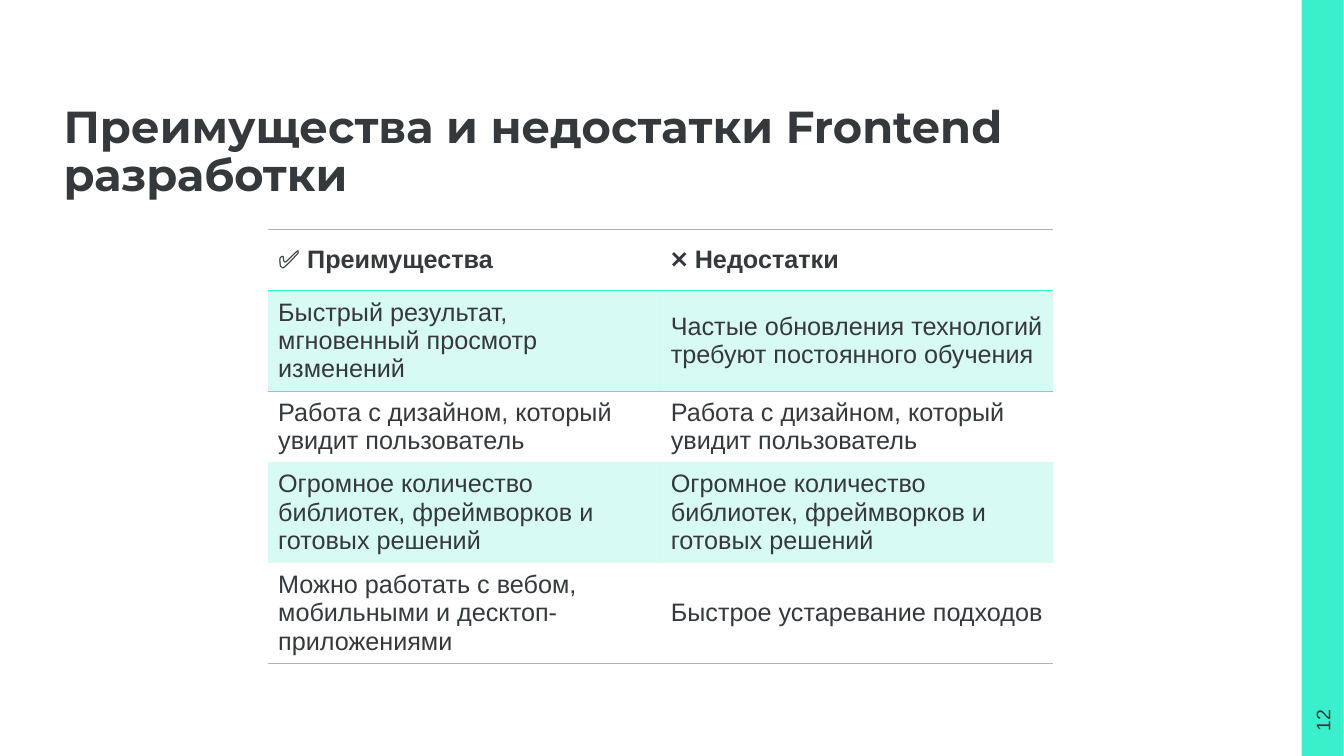
from dataclasses import dataclass

from lxml import etree
from pptx import Presentation
from pptx import util as u
from pptx.dml.color import RGBColor
from pptx.enum import shapes, text
from pptx.oxml import ns

MINT, DARK, GRAY = "3AEFCC", "36393B", "B2B2B2"
PLAIN = "{2D5ABB26-0587-4C30-8999-92F81FD0307C}"


@dataclass
class Row:
    high: float
    pro: str
    con: str
    top: str = ""
    base: str = ""
    band: bool = False
    bold: bool = False


ROWS = [
    Row(43.5, "✅ Преимущества", "❌ Недостатки", top=GRAY, base=MINT, bold=True),
    Row(68, "Быстрый результат, мгновенный просмотр изменений",
        "Частые обновления технологий требуют постоянного обучения",
        top=MINT, band=True),
    Row(48, "Работа с дизайном, который увидит пользователь",
        "Работа с дизайном, который увидит пользователь"),
    Row(68, "Огромное количество библиотек, фреймворков и готовых решений",
        "Огромное количество библиотек, фреймворков и готовых решений", band=True),
    Row(68, "Можно работать с вебом, мобильными и десктоп-приложениями",
        "Быстрое устаревание подходов", base=GRAY),
]


def paint(item, color: str) -> None:
    """Give a fill or a font a solid colour."""
    if hasattr(item, "solid"):
        item.solid()
        item.fore_color.rgb = RGBColor.from_string(color)
    else:
        item.color.rgb = RGBColor.from_string(color)


def style(para, size: float, face: str = "Arial", bold: bool = False) -> None:
    for run in para.runs:
        run.font.size = u.Pt(size)
        run.font.name = face
        run.font.bold = bold
        paint(run.font, DARK)


def edge(cell, side: str, color: str) -> None:
    """Draw one side of a cell."""
    line = etree.SubElement(cell._tc.get_or_add_tcPr(), ns.qn(f"a:{side}"),
                            w=str(u.Pt(0.75)))
    fill = etree.SubElement(line, ns.qn("a:solidFill"))
    etree.SubElement(fill, ns.qn("a:srgbClr"), val=color)


def draw_cell(cell, words: str, row: Row) -> None:
    cell.text_frame.text = words
    cell.vertical_anchor = text.MSO_ANCHOR.MIDDLE
    style(cell.text_frame.paragraphs[0], 18, bold=row.bold)
    for side, color in (("lnT", row.top), ("lnB", row.base)):
        if color:
            edge(cell, side, color)
    if row.band:
        paint(cell.fill, MINT)
        tint = cell._tc.tcPr.find(ns.qn("a:solidFill"))[0]
        etree.SubElement(tint, ns.qn("a:alpha"), val="20000")
    else:
        cell.fill.background()


def draw_bar(slide) -> None:
    bar = slide.shapes.add_shape(shapes.MSO_SHAPE.RECTANGLE,
                                 u.Pt(674.75), u.Pt(255), u.Pt(540), u.Pt(30))
    bar.rotation = 270
    bar.shadow.inherit = False
    paint(bar.fill, MINT)
    bar.line.fill.background()


def draw_page(slide) -> None:
    page = slide.shapes.add_textbox(u.Pt(919.5), u.Pt(499.75), u.Pt(50.5), u.Pt(30))
    page.rotation = 270
    frame = page.text_frame
    frame.word_wrap = True
    frame.vertical_anchor = text.MSO_ANCHOR.MIDDLE
    frame.text = "12"
    frame.paragraphs[0].alignment = text.PP_ALIGN.CENTER
    style(frame.paragraphs[0], 14)


def draw_title(slide) -> None:
    title = slide.shapes.title
    title.left, title.top = u.Pt(38.25), u.Pt(50.5)
    title.width, title.height = u.Pt(867), u.Pt(93.5)
    frame = title.text_frame
    frame.word_wrap = True
    frame.auto_size = text.MSO_AUTO_SIZE.NONE
    frame.vertical_anchor = text.MSO_ANCHOR.BOTTOM
    frame.margin_left = frame.margin_top = u.Pt(7.2)
    frame.margin_right = frame.margin_bottom = u.Pt(0)
    frame.text = "Преимущества и недостатки Frontend разработки"
    para = frame.paragraphs[0]
    para.alignment = text.PP_ALIGN.LEFT
    para.line_spacing = 0.9
    style(para, 32, "Montserrat", True)


def draw_table(slide) -> None:
    high = sum(row.high for row in ROWS)
    table = slide.shapes.add_table(len(ROWS), 2, u.Pt(191.5), u.Pt(164),
                                   u.Pt(561), u.Pt(high)).table
    table.first_row = table.horz_banding = False
    table._tbl.tblPr.find(ns.qn("a:tableStyleId")).text = PLAIN
    for line, row in zip(table.rows, ROWS):
        line.height = u.Pt(row.high)
        for cell, words in zip(line.cells, (row.pro, row.con)):
            draw_cell(cell, words, row)


def main() -> None:
    deck = Presentation()
    deck.slide_width, deck.slide_height = u.Pt(960), u.Pt(540)
    slide = deck.slides.add_slide(deck.slide_layouts[5])

    # Side bar and page number
    draw_bar(slide)
    draw_page(slide)

    # Heading and comparison
    draw_title(slide)
    draw_table(slide)
    deck.save("out.pptx")


if __name__ == "__main__":
    main()
